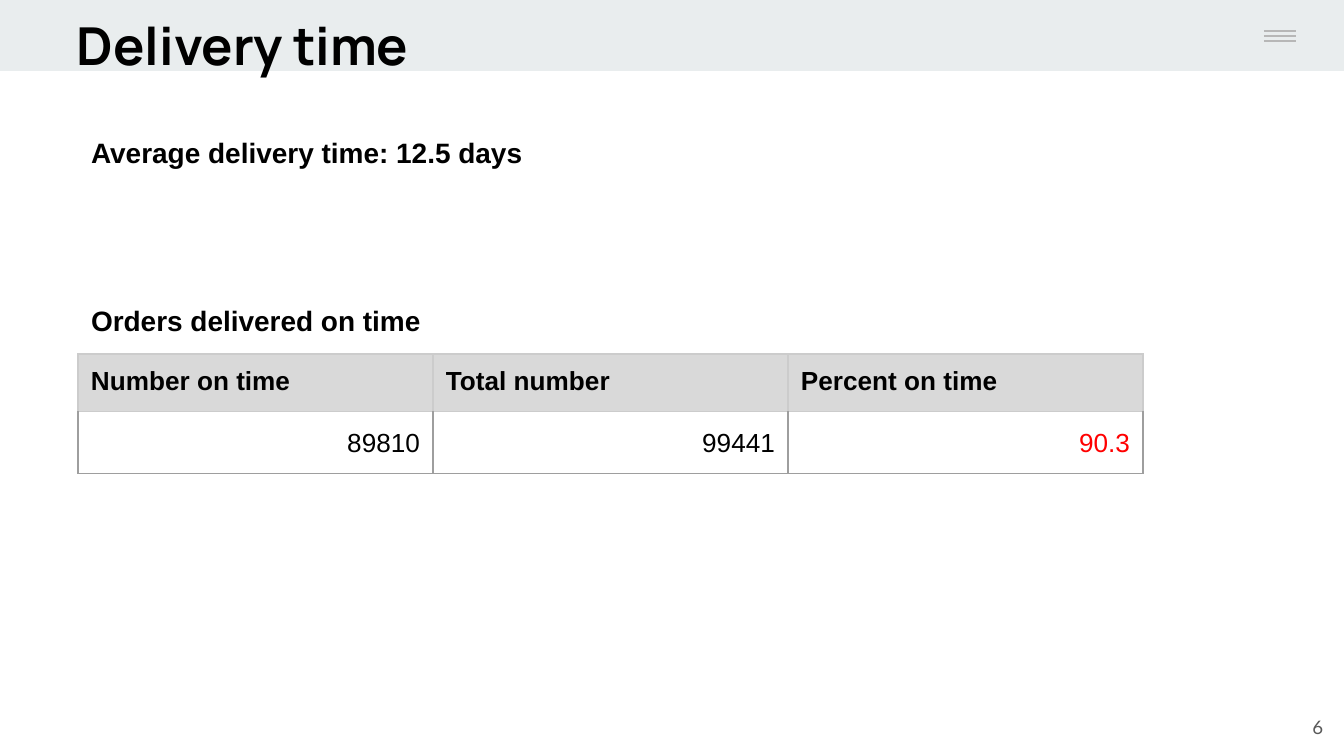
import pptx
import pptx.dml.color
import pptx.enum.shapes
import pptx.enum.text
import pptx.oxml.ns
import pptx.util
from lxml import etree

EMU_PER_PX = 914400 / 134.4
INSET = 13
ALIGN = pptx.enum.text.PP_ALIGN
ANCHOR = pptx.enum.text.MSO_ANCHOR


def px(length):
    return pptx.util.Emu(round(length * EMU_PER_PX))


def color(hex_string):
    return pptx.dml.color.RGBColor.from_string(hex_string)


def add_element(parent, tag, **attributes):
    return etree.SubElement(parent, pptx.oxml.ns.qn(tag), attributes)


class SlideBuilder:
    BAND = "E9EDEE"
    MENU_LINE = "B7B7B7"
    HEADER_FILL = "D9D9D9"
    HEADER_BORDER = "CCCCCC"
    BODY_BORDER = "9E9E9E"
    TITLE = {"name": "Manrope", "size": 28, "bold": True, "color": "000000"}
    HEADING = {"name": "Arial", "size": 15, "bold": True, "color": "000000"}
    CELL_HEADER = HEADING | {"size": 14}
    CELL = CELL_HEADER | {"bold": False}
    HIGHLIGHT = CELL | {"color": "FF0000"}
    PAGE_NUMBER = {"name": "Lato", "size": 10, "bold": False, "color": "595959"}

    def __init__(self, slide):
        self.slide = slide

    def band(self, left, top, width, height):
        shape = self.slide.shapes.add_shape(
            pptx.enum.shapes.MSO_SHAPE.RECTANGLE, px(left), px(top), px(width), px(height))
        shape.shadow.inherit = False
        shape.fill.solid()
        shape.fill.fore_color.rgb = color(self.BAND)
        shape.line.fill.background()

    def line(self, left, right, y):
        connector = self.slide.shapes.add_connector(
            pptx.enum.shapes.MSO_CONNECTOR.STRAIGHT, px(left), px(y), px(right), px(y))
        connector.line.color.rgb = color(self.MENU_LINE)
        connector.line.width = pptx.util.Pt(0.75)
        add_element(connector._element.spPr, "a:effectLst")

    def fill_paragraph(self, paragraph, text, style, align=ALIGN.LEFT, spacing=1.0):
        paragraph.alignment = align
        paragraph.line_spacing = spacing
        run = paragraph.add_run()
        run.text = text
        values = style | {"size": pptx.util.Pt(style["size"])}
        run.font.color.rgb = color(values.pop("color"))
        for name, value in values.items():
            setattr(run.font, name, value)

    def set_margins(self, target):
        for side in ("left", "top", "right", "bottom"):
            setattr(target, f"margin_{side}", px(INSET))

    def text(self, box, text, style, anchor=ANCHOR.TOP, **layout):
        shape = self.slide.shapes.add_textbox(*map(px, box))
        frame = shape.text_frame
        frame.word_wrap = True
        frame.vertical_anchor = anchor
        self.set_margins(frame)
        self.fill_paragraph(frame.paragraphs[0], text, style, **layout)

    def borders(self, cell, side_colors):
        """Put the border lines ahead of the fill, as the schema asks."""
        properties = cell._tc.get_or_add_tcPr()
        for index, (side, hex_string) in enumerate(side_colors.items()):
            line = add_element(properties, f"a:ln{side}", w=str(pptx.util.Pt(0.75)))
            fill = add_element(line, "a:solidFill")
            add_element(fill, "a:srgbClr", val=hex_string)
            properties.insert(index, line)

    def table(self, left, top, column_width, row_heights, header, values):
        """Draw a shaded header row over one row of (text, style) values."""
        table = self.slide.shapes.add_table(
            2, len(header), px(left), px(top),
            px(column_width * len(header)), px(sum(row_heights))).table
        table.first_row = table.horz_banding = False
        for column in table.columns:
            column.width = px(column_width)
        for row, height in zip(table.rows, row_heights):
            row.height = px(height)
        for index, (label, (value, style)) in enumerate(zip(header, values)):
            cell = table.cell(0, index)
            self.set_margins(cell)
            cell.fill.solid()
            cell.fill.fore_color.rgb = color(self.HEADER_FILL)
            self.borders(cell, dict.fromkeys("LRTB", self.HEADER_BORDER))
            self.fill_paragraph(cell.text_frame.paragraphs[0], label, self.CELL_HEADER)

            cell = table.cell(1, index)
            self.set_margins(cell)
            cell.fill.background()
            self.borders(cell, dict.fromkeys("LRTB", self.BODY_BORDER) | {"T": self.HEADER_BORDER})
            self.fill_paragraph(cell.text_frame.paragraphs[0], value, style, ALIGN.RIGHT, 1.15)


def main():
    presentation = pptx.Presentation()
    presentation.slide_width = px(1344)
    presentation.slide_height = px(756)
    builder = SlideBuilder(presentation.slides.add_slide(presentation.slide_layouts[6]))

    builder.band(0, 0, 1344, 71)
    for y in (31, 36, 41):
        builder.line(1264, 1296, y)
    builder.text((64, 0, 1121, 79), "Delivery time", builder.TITLE)

    for top, heading in ((117, "Average delivery time: 12.5 days"),
                         (285, "Orders delivered on time")):
        builder.text((78, top, 1040, 79), heading, builder.HEADING, spacing=1.15)

    builder.table(
        78, 354, 355, (56, 61),
        ("Number on time", "Total number", "Percent on time"),
        (("89810", builder.CELL), ("99441", builder.CELL), ("90.3", builder.HIGHLIGHT)))

    builder.text((1255, 698, 81, 58), "6", builder.PAGE_NUMBER,
                 anchor=ANCHOR.MIDDLE, align=ALIGN.RIGHT)
    presentation.save("out.pptx")


if __name__ == "__main__":
    main()
